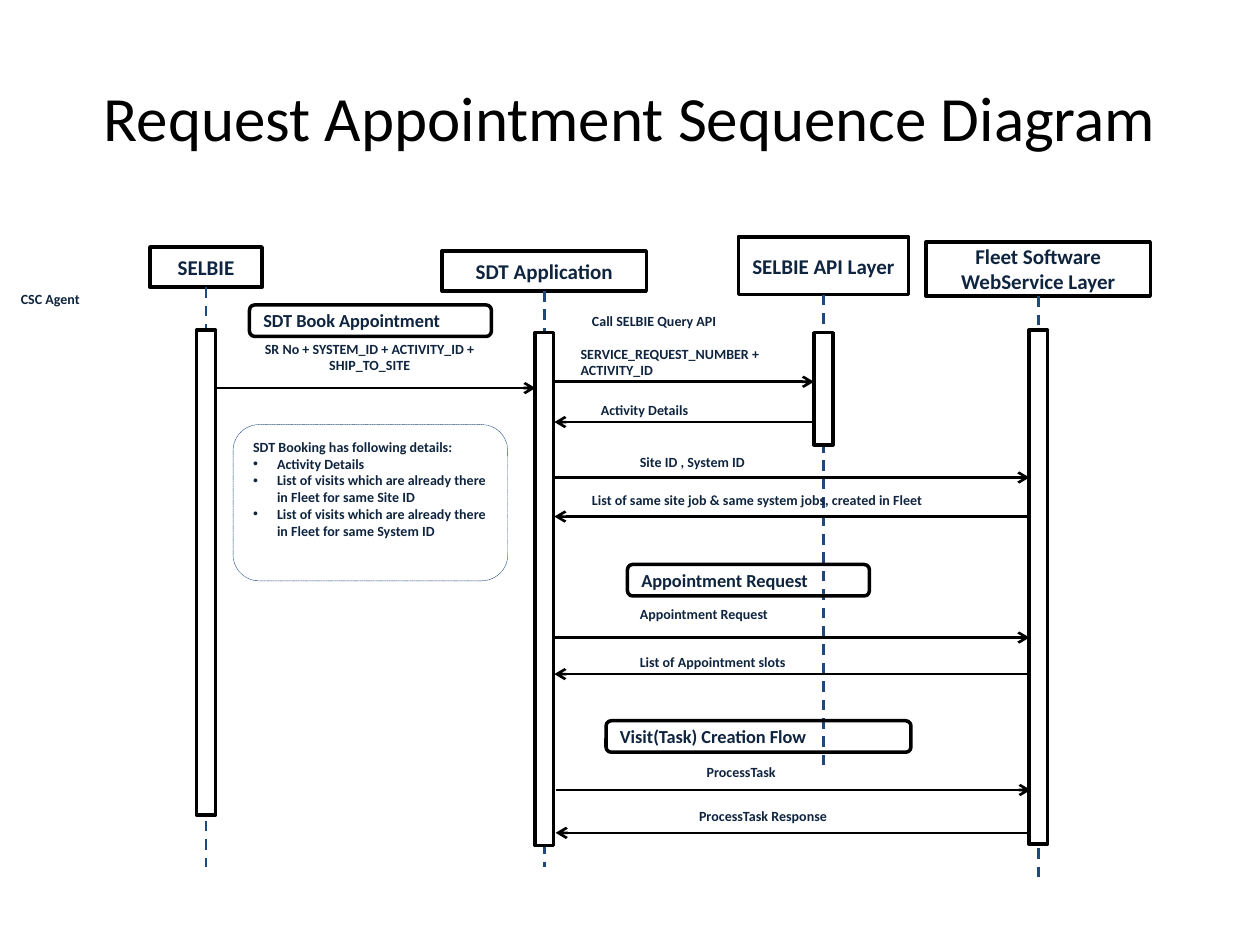
from lxml.etree import SubElement
from pptx import Presentation
from pptx.dml.color import RGBColor
from pptx.enum.dml import MSO_LINE
from pptx.enum.shapes import MSO_CONNECTOR, MSO_SHAPE
from pptx.enum.text import MSO_ANCHOR, PP_ALIGN
from pptx.oxml.ns import qn
from pptx.util import Inches, Pt

BLACK, WHITE, NAVY, BLUE = "000000", "FFFFFF", "0F243E", "1F497D"
BAR_WIDTH = 0.15


def color(hex_code):
    """Turn a hex string into a colour."""
    return RGBColor.from_string(hex_code)


def write(frame, text, size=8, ink=NAVY, bold=True, align=PP_ALIGN.LEFT,
          anchor=MSO_ANCHOR.TOP, bullets_from=None):
    """Fill a text frame, one paragraph per line of text."""
    frame.word_wrap = True
    frame.vertical_anchor = anchor
    for index, line in enumerate(text.split("\n")):
        paragraph = frame.paragraphs[0] if index == 0 else frame.add_paragraph()
        paragraph.alignment = align
        if bullets_from is not None and index >= bullets_from:
            properties = paragraph._p.get_or_add_pPr()
            properties.set("marL", str(Inches(0.19)))
            properties.set("indent", str(Inches(-0.19)))
            SubElement(properties, qn("a:buFont"), typeface="Arial")
            SubElement(properties, qn("a:buChar"), char="•")
        run = paragraph.add_run()
        run.text = line
        run.font.name = "Calibri"
        run.font.size = Pt(size)
        run.font.bold = bold
        run.font.color.rgb = color(ink)


def add_label(slide, box, text, **style):
    """Place free text in a box."""
    label = slide.shapes.add_textbox(*map(Inches, box))
    write(label.text_frame, text, **style)


def add_frame(slide, box, kind=MSO_SHAPE.RECTANGLE, fill=None, ink=BLACK,
              weight=2, dash=None):
    """Draw an outlined shape and return it."""
    frame = slide.shapes.add_shape(kind, *map(Inches, box))
    frame.shadow.inherit = False
    if fill:
        frame.fill.solid()
        frame.fill.fore_color.rgb = color(fill)
    else:
        frame.fill.background()
    frame.line.color.rgb = color(ink)
    frame.line.width = Pt(weight)
    if dash:
        frame.line.dash_style = dash
    return frame


def add_line(slide, start, end, ink=BLACK, dash=None, arrow=False):
    """Draw a straight line, with an arrowhead at its end if asked."""
    line = slide.shapes.add_connector(
        MSO_CONNECTOR.STRAIGHT, *map(Inches, (*start, *end)))
    line.line.color.rgb = color(ink)
    line.line.width = Pt(1.5)
    if dash:
        line.line.dash_style = dash
    if arrow:
        SubElement(line.line._get_or_add_ln(), qn("a:tailEnd"), type="arrow")
    SubElement(line._element.spPr, qn("a:effectLst"))


def add_step_name(slide, box, text):
    """Draw the rounded heading of a step."""
    step = add_frame(slide, box, MSO_SHAPE.ROUNDED_RECTANGLE)
    write(step.text_frame, text, size=10.5, anchor=MSO_ANCHOR.MIDDLE)


def add_lifeline(slide, box, name, line_end, bar_top, bar_height):
    """Draw a participant with its dashed lifeline and activation bar."""
    left, top, width, height = box
    center = left + width / 2
    participant = add_frame(slide, box, fill=WHITE)
    write(participant.text_frame, name, size=12, align=PP_ALIGN.CENTER,
          anchor=MSO_ANCHOR.MIDDLE)
    add_line(slide, (center, top + height), (center, line_end), BLUE, MSO_LINE.DASH)
    add_frame(slide, (center - BAR_WIDTH / 2, bar_top, BAR_WIDTH, bar_height),
              fill=WHITE)


def add_exchange(slide, box, request, reply):
    """Draw a request along the top of a box and its reply along the bottom."""
    left, top, width, height = box
    right, bottom = left + width, top + height
    add_line(slide, (left, top), (right, top), arrow=True)
    add_line(slide, (right, bottom), (left, bottom), arrow=True)
    for line_y, (text, dx, dy, label_width, label_height) in (
            (top, request), (bottom, reply)):
        add_label(slide, (left + dx, line_y + dy, label_width, label_height), text)


def add_booking(slide, box):
    """Draw the booking step between the first two lifelines."""
    left, top, width, height = box
    arrow_y = top + 0.66
    add_step_name(slide, (left + 0.26, top, 1.92, 0.25), "SDT Book Appointment")
    add_label(slide, (left + 0.05, top + 0.23, 2.33, 0.37),
              "SR No + SYSTEM_ID + ACTIVITY_ID +\nSHIP_TO_SITE",
              align=PP_ALIGN.CENTER)
    add_line(slide, (left, arrow_y), (left + width, arrow_y), arrow=True)
    details = add_frame(slide, (left + 0.13, top + 0.95, 2.18, height - 0.95),
                        MSO_SHAPE.ROUNDED_RECTANGLE, ink=BLUE, weight=0.25,
                        dash=MSO_LINE.SQUARE_DOT)
    write(details.text_frame,
          "SDT Booking has following details:\n"
          "Activity Details\n"
          "List of visits which are already there in Fleet for same Site ID\n"
          "List of visits which are already there in Fleet for same System ID",
          bullets_from=1)


def main():
    """Build the slide and save it."""
    deck = Presentation()
    deck.slide_width, deck.slide_height = Inches(10), Inches(7.5)
    slide = deck.slides.add_slide(deck.slide_layouts[6])
    add_label(slide, (0.5, 0.3, 9, 1.25), "Request Appointment Sequence Diagram",
              size=36, ink=BLACK, bold=False, align=PP_ALIGN.CENTER,
              anchor=MSO_ANCHOR.MIDDLE)

    for participant in (
            ((1.19, 1.96, 0.89, 0.32), "SELBIE", 6.88, 2.62, 3.85),
            ((3.51, 1.99, 1.62, 0.32), "SDT Application", 6.88, 2.64, 4.07),
            ((5.86, 1.88, 1.35, 0.46), "SELBIE API Layer", 6.07, 2.64, 0.89),
            ((7.35, 1.92, 1.78, 0.43), "Fleet Software WebService Layer",
             6.96, 2.62, 4.08)):
        add_lifeline(slide, *participant)

    add_label(slide, (0, 2.26, 0.8, 0.24), "CSC Agent", align=PP_ALIGN.CENTER)
    add_booking(slide, (1.72, 2.42, 2.53, 2.19))
    add_label(slide, (4.6, 2.43, 1.46, 0.24), "Call SELBIE Query API")
    add_step_name(slide, (4.98, 4.48, 1.92, 0.25), "Appointment Request")
    add_step_name(slide, (4.81, 5.72, 2.42, 0.25), "Visit(Task) Creation Flow")

    for exchange in (
            ((4.4, 3.03, 2.06, 0.32),
             ("SERVICE_REQUEST_NUMBER + ACTIVITY_ID", 0.11, -0.34, 1.94, 0.37),
             ("Activity Details", 0.27, -0.21, 1.72, 0.24)),
            ((4.4, 3.79, 3.77, 0.31),
             ("Site ID , System ID", 0.58, -0.24, 1.46, 0.24),
             ("List of same site job & same system jobs, created in Fleet",
              0.2, -0.25, 3.56, 0.24)),
            ((4.4, 5.06, 3.77, 0.29),
             ("Appointment Request", 0.58, -0.3, 1.46, 0.24),
             ("List of Appointment slots", 0.58, -0.21, 2.23, 0.24)),
            ((4.41, 6.27, 3.77, 0.34),
             ("ProcessTask", 1.1, -0.26, 1.46, 0.24),
             ("ProcessTask Response", 1.04, -0.25, 1.46, 0.24))):
        add_exchange(slide, *exchange)
    deck.save("out.pptx")


if __name__ == "__main__":
    main()
